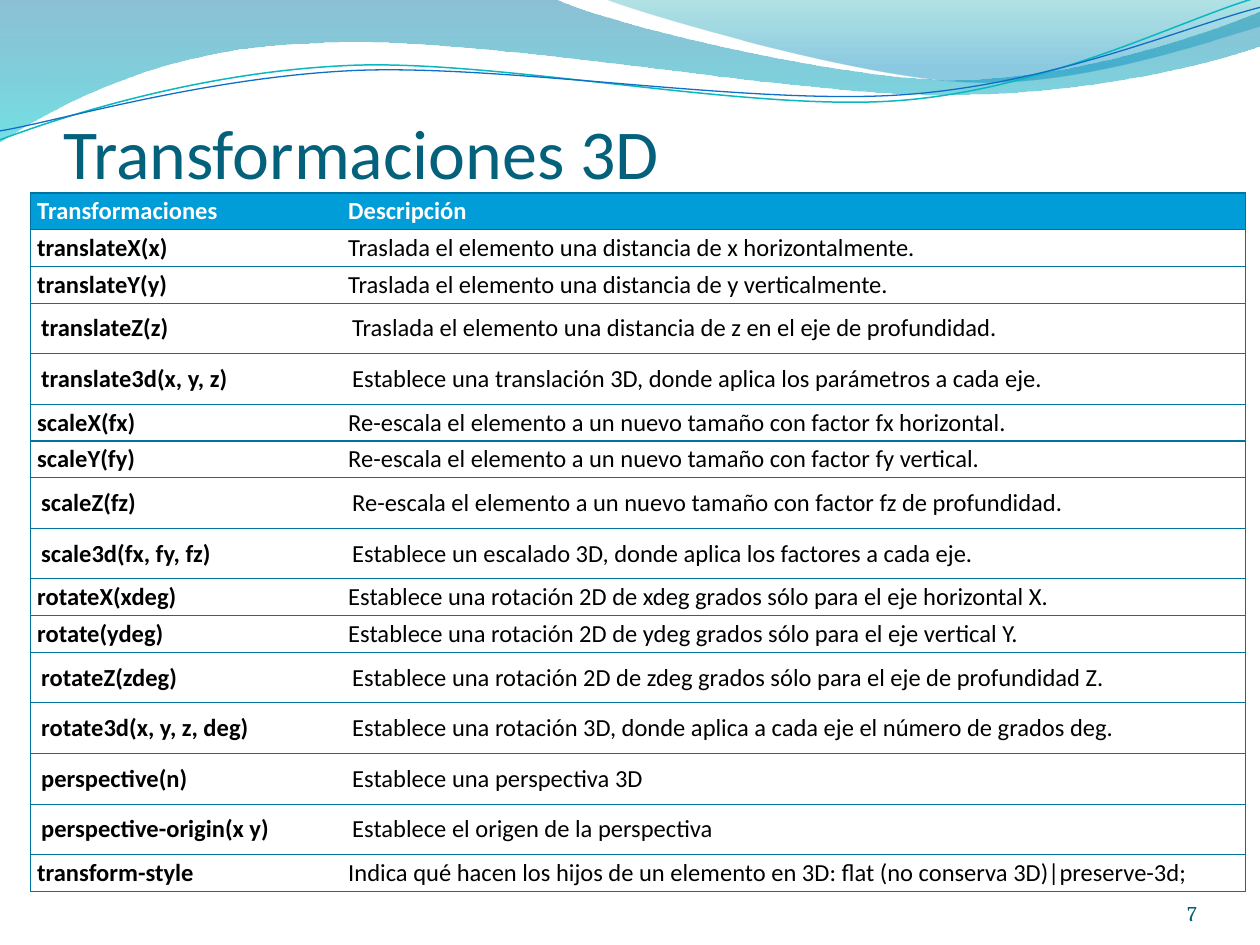
from typing import NamedTuple, Optional

from lxml import etree
from pptx import Presentation
from pptx.dml.color import RGBColor
from pptx.enum.text import MSO_ANCHOR, PP_ALIGN
from pptx.oxml.ns import qn
from pptx.util import Cm, Pt

LEFT, RIGHT = PP_ALIGN.LEFT, PP_ALIGN.RIGHT
MIDDLE, BOTTOM = MSO_ANCHOR.MIDDLE, MSO_ANCHOR.BOTTOM

COLORS = {
    "title": "04617B", "number": "045D75", "header": "009DD9",
    "border": "0074A1", "white": "FFFFFF", "black": "000000",
    "blue": "0074A1", "aqua": "00C6CF", "teal": "00A1A9", "sky": "008BBF",
    "teal line": "0AB8BF", "blue line": "0F6FC6",
}


class Stop(NamedTuple):
    position: float
    color: str
    opacity: int


class Wave(NamedTuple):
    """Points in cm: a pair is a line end, six numbers are a Bézier curve."""
    start: tuple
    segments: list
    stops: tuple = ()
    line: Optional[str] = None
    width: float = 0.75


class Row(NamedTuple):
    name: str
    description: str
    tall: bool = False


WAVES = [
    Wave((0, 0), [
        (11.18, -0.03),
        (12.09, 0.43, 16.87, 1.6, 19.25, 1.6),
        (21.67, 1.6, 24.33, 0.66, 25.4, 0.23),
        (25.43, 0.91),
        (24.97, 1.12, 22.1, 1.93, 18.95, 1.91),
        (15.8, 1.91, 9.7, 0.71, 6.53, 0.86),
        (3.28, 0.91, 1.17, 2.11, -0.03, 2.87),
    ], stops=(Stop(0, "blue", 45), Stop(1, "aqua", 55))),
    Wave((12.17, -0.03), [
        (12.93, 0.28, 17.32, 1.57, 19.53, 1.65),
        (21.74, 1.75, 24.41, 0.81, 25.4, 0.53),
        (25.4, 0),
    ], stops=(Stop(0, "teal", 30), Stop(0.8, "sky", 45))),
    Wave((0, 2.82), [
        (1.22, 2.36, 4.01, 1.45, 7.04, 1.32),
        (10.03, 1.19, 15.06, 2.26, 18.11, 2.03),
        (21.16, 1.8, 23.83, 0.38, 25.35, -0.05),
    ], line="teal line", width=0.85),
    Wave((0, 2.64), [
        (1.19, 2.44, 4.17, 1.55, 7.19, 1.42),
        (10.24, 1.3, 15.16, 2.13, 18.21, 1.91),
        (21.23, 1.7, 23.9, 0.53, 25.4, 0.15),
    ], line="blue line"),
]

ROWS = [
    Row("Transformaciones", "Descripción"),
    Row("translateX(x)", "Traslada el elemento una distancia de x horizontalmente."),
    Row("translateY(y)", "Traslada el elemento una distancia de y verticalmente."),
    Row("translateZ(z)", "Traslada el elemento una distancia de z en el eje de profundidad.", True),
    Row("translate3d(x, y, z)", "Establece una translación 3D, donde aplica los parámetros a cada eje.", True),
    Row("scaleX(fx)", "Re-escala el elemento a un nuevo tamaño con factor fx horizontal."),
    Row("scaleY(fy)", "Re-escala el elemento a un nuevo tamaño con factor fy vertical."),
    Row("scaleZ(fz)", "Re-escala el elemento a un nuevo tamaño con factor fz de profundidad.", True),
    Row("scale3d(fx, fy, fz)", "Establece un escalado 3D, donde aplica los factores a cada eje.", True),
    Row("rotateX(xdeg)", "Establece una rotación 2D de xdeg grados sólo para el eje horizontal X."),
    Row("rotate(ydeg)", "Establece una rotación 2D de ydeg grados sólo para el eje vertical Y."),
    Row("rotateZ(zdeg)", "Establece una rotación 2D de zdeg grados sólo para el eje de profundidad Z.", True),
    Row("rotate3d(x, y, z, deg)", "Establece una rotación 3D, donde aplica a cada eje el número de grados deg.", True),
    Row("perspective(n)", "Establece una perspectiva 3D", True),
    Row("perspective-origin(x y)", "Establece el origen de la perspectiva", True),
    Row("transform-style", "Indica qué hacen los hijos de un elemento en 3D: flat (no conserva 3D)|preserve-3d;"),
]


def rgb(name: str) -> RGBColor:
    return RGBColor.from_string(COLORS[name])


def write(tf, text: str, *, size: float, color: str, font: str = "Calibri",
          bold: bool = False, align=LEFT) -> None:
    p = tf.paragraphs[0]
    p.alignment = align
    r = p.add_run()
    r.text = text
    r.font.size, r.font.name, r.font.bold = Pt(size), font, bold
    r.font.color.rgb = rgb(color)


def add_text(s, text: str, left: float, top: float, width: float,
             height: float, **fmt) -> None:
    tf = s.shapes.add_textbox(Cm(left), Cm(top), Cm(width), Cm(height)).text_frame
    tf.word_wrap = True
    tf.vertical_anchor = BOTTOM
    tf.margin_left = tf.margin_right = tf.margin_top = tf.margin_bottom = 0
    write(tf, text, **fmt)


def bend(sp, segments: list) -> None:
    """Turn the straight segments that have control points into curves."""
    for line_to, seg in zip(list(sp.element.spPr.iter(qn("a:lnTo"))), segments):
        if len(seg) == 2:
            continue
        curve = etree.Element(qn("a:cubicBezTo"))
        for x, y in zip(seg[::2], seg[1::2]):
            etree.SubElement(curve, qn("a:pt"), x=str(Cm(x) - sp.left),
                             y=str(Cm(y) - sp.top))
        line_to.getparent().replace(line_to, curve)


def add_wave(s, wave: Wave) -> None:
    builder = s.shapes.build_freeform(*map(Cm, wave.start))
    ends = [(Cm(seg[-2]), Cm(seg[-1])) for seg in wave.segments]
    builder.add_line_segments(ends, close=bool(wave.stops))
    sp = builder.convert_to_shape()
    bend(sp, wave.segments)
    sp.shadow.inherit = False
    if wave.line:
        sp.fill.background()
        sp.line.color.rgb = rgb(wave.line)
        sp.line.width = Pt(wave.width)
        return
    sp.line.fill.background()
    sp.fill.gradient()
    sp.fill.gradient_angle = 270  # top to bottom
    for gs, stop in zip(sp.fill.gradient_stops, wave.stops):
        gs.position = stop.position
        gs.color.rgb = rgb(stop.color)
    for clr, stop in zip(sp.element.spPr.iter(qn("a:srgbClr")), wave.stops):
        etree.SubElement(clr, qn("a:alpha"), val=str(stop.opacity * 1000))


def set_borders(cell, hidden: str) -> None:
    """Draw every side of the cell except the hidden one."""
    tc_pr = cell._tc.get_or_add_tcPr()
    for side in ("lnL", "lnR", "lnT", "lnB"):
        ln = etree.SubElement(tc_pr, qn(f"a:{side}"), w=str(Pt(0.75)))
        if side == hidden:
            etree.SubElement(ln, qn("a:noFill"))
        else:
            fill = etree.SubElement(ln, qn("a:solidFill"))
            etree.SubElement(fill, qn("a:srgbClr"), val=COLORS["border"])


def add_transform_table(s) -> None:
    heights = [Cm(1.02 if row.tall else 0.74) for row in ROWS]
    table = s.shapes.add_table(len(ROWS), 2, Cm(0.62), Cm(3.89),
                               Cm(24.49), sum(heights)).table
    table.horz_banding = False
    table.columns[0].width, table.columns[1].width = Cm(6.27), Cm(18.22)
    for i, row in enumerate(ROWS):
        table.rows[i].height = heights[i]
        header = i == 0
        for j, text in enumerate((row.name, row.description)):
            cell = table.cell(i, j)
            set_borders(cell, "lnL" if j else "lnR")
            if header:
                cell.fill.solid()
                cell.fill.fore_color.rgb = rgb("header")
            else:
                cell.fill.background()
            cell.vertical_anchor = MIDDLE
            cell.margin_left = cell.margin_right = Cm(0.21 if row.tall else 0.13)
            cell.margin_top = cell.margin_bottom = Cm(0.2 if row.tall else 0.06)
            write(cell.text_frame, text, size=14, bold=header or j == 0,
                  color="white" if header else "black")


def main() -> None:
    prs = Presentation()
    prs.slide_width, prs.slide_height = Cm(25.4), Cm(19.05)
    s = prs.slides.add_slide(prs.slide_layouts[6])

    # Waves along the top edge
    for wave in WAVES:
        add_wave(s, wave)

    # Title, slide number and table
    add_text(s, "Transformaciones 3D", 1.28, 0.74, 23.62, 3.17,
             size=40, color="title")
    add_text(s, "7", 22.02, 17.65, 2.11, 1.02, size=12, color="number",
             font="Cambria", align=RIGHT)
    add_transform_table(s)

    prs.save("out.pptx")


if __name__ == "__main__":
    main()
